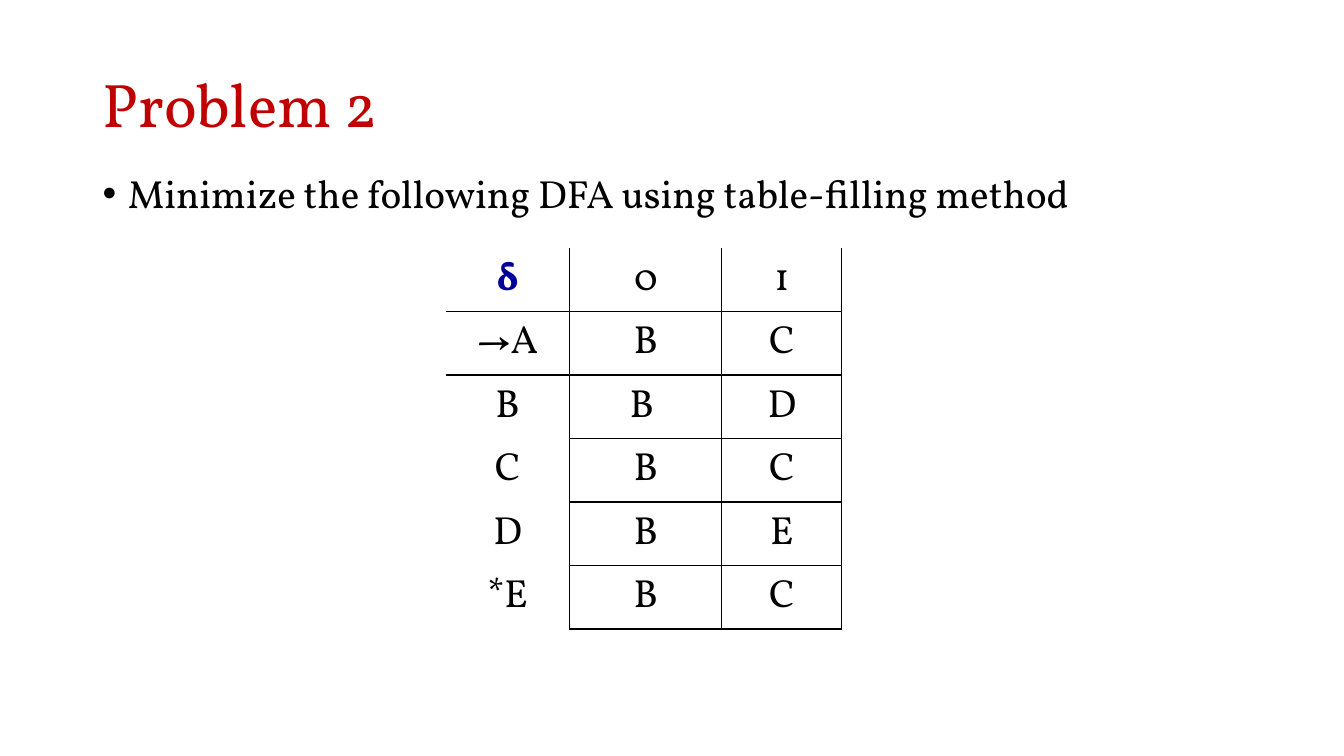
from lxml.etree import SubElement
from pptx import Presentation
from pptx.dml.color import RGBColor
from pptx.enum.text import MSO_ANCHOR, PP_ALIGN
from pptx.oxml.ns import qn
from pptx.util import Pt

PX = 9144  # 100 px to the inch
FONT = "Vollkorn"
NO_STYLE = "{2D5ABB26-0587-4C30-8999-92F81FD0307C}"


def format_text(paragraph, size, color, bold=False):
    for run in paragraph.runs:
        run.font.name = FONT
        run.font.size = Pt(size)
        run.font.bold = bold
        run.font.color.rgb = RGBColor.from_string(color)


def add_border(cell, side):
    line = SubElement(cell._tc.get_or_add_tcPr(), qn(f"a:ln{side}"), w=str(Pt(1)))
    fill = SubElement(line, qn("a:solidFill"))
    SubElement(fill, qn("a:srgbClr"), val="000000")


presentation = Presentation()
presentation.slide_width = 1333 * PX
presentation.slide_height = 750 * PX
slide = presentation.slides.add_slide(presentation.slide_layouts[5])

# Title
title = slide.shapes.title
title.left, title.top, title.width, title.height = 92 * PX, 34 * PX, 1150 * PX, 145 * PX
title.text_frame.text = "Problem 2"
title.text_frame.vertical_anchor = MSO_ANCHOR.MIDDLE
paragraph = title.text_frame.paragraphs[0]
paragraph.alignment = PP_ALIGN.LEFT
paragraph.line_spacing = 0.9
format_text(paragraph, 44, "C00000")

# Task with bullet
task = slide.shapes.add_textbox(92 * PX, 168 * PX, 1150 * PX, 508 * PX)
task.text_frame.word_wrap = True
task.text_frame.text = "Minimize the following DFA using table-filling method"
paragraph = task.text_frame.paragraphs[0]
paragraph.alignment = PP_ALIGN.JUSTIFY
paragraph.line_spacing = 0.9
paragraph.space_before = Pt(10)
format_text(paragraph, 28, "000000")
properties = paragraph._p.get_or_add_pPr()
properties.set("marL", str(25 * PX))
properties.set("indent", str(-25 * PX))
SubElement(properties, qn("a:buFont"), typeface="Arial")
SubElement(properties, qn("a:buChar"), char="•")

# Transition table
transitions = [
    ("δ", "0", "1"),
    ("→A", "B", "C"),
    ("B", "B ", "D"),
    ("C", "B", "C"),
    ("D", "B", "E"),
    ("*E", "B", "C"),
]
column_widths = [123, 151, 119]
row_height = 63
table = slide.shapes.add_table(
    len(transitions), len(column_widths), 442 * PX, 246 * PX,
    sum(column_widths) * PX, len(transitions) * row_height * PX,
).table
table.first_row = table.horz_banding = False
table._tbl.tblPr.find(qn("a:tableStyleId")).text = NO_STYLE
for column, width in zip(table.columns, column_widths):
    column.width = width * PX

for row_index, row in enumerate(transitions):
    table.rows[row_index].height = row_height * PX
    for column_index, value in enumerate(row):
        cell = table.cell(row_index, column_index)
        cell.text_frame.text = value
        paragraph = cell.text_frame.paragraphs[0]
        paragraph.alignment = PP_ALIGN.CENTER
        is_delta = row_index == column_index == 0
        format_text(paragraph, 28, "000099" if is_delta else "000000", is_delta)

        # The state column has no outer or inner rules, the header no top rule
        if column_index > 0:
            add_border(cell, "L")
        add_border(cell, "R")
        if row_index == 1 or (row_index > 1 and column_index > 0):
            add_border(cell, "T")
        if row_index == 0 or column_index > 0:
            add_border(cell, "B")
        cell.fill.background()

presentation.save("out.pptx")
